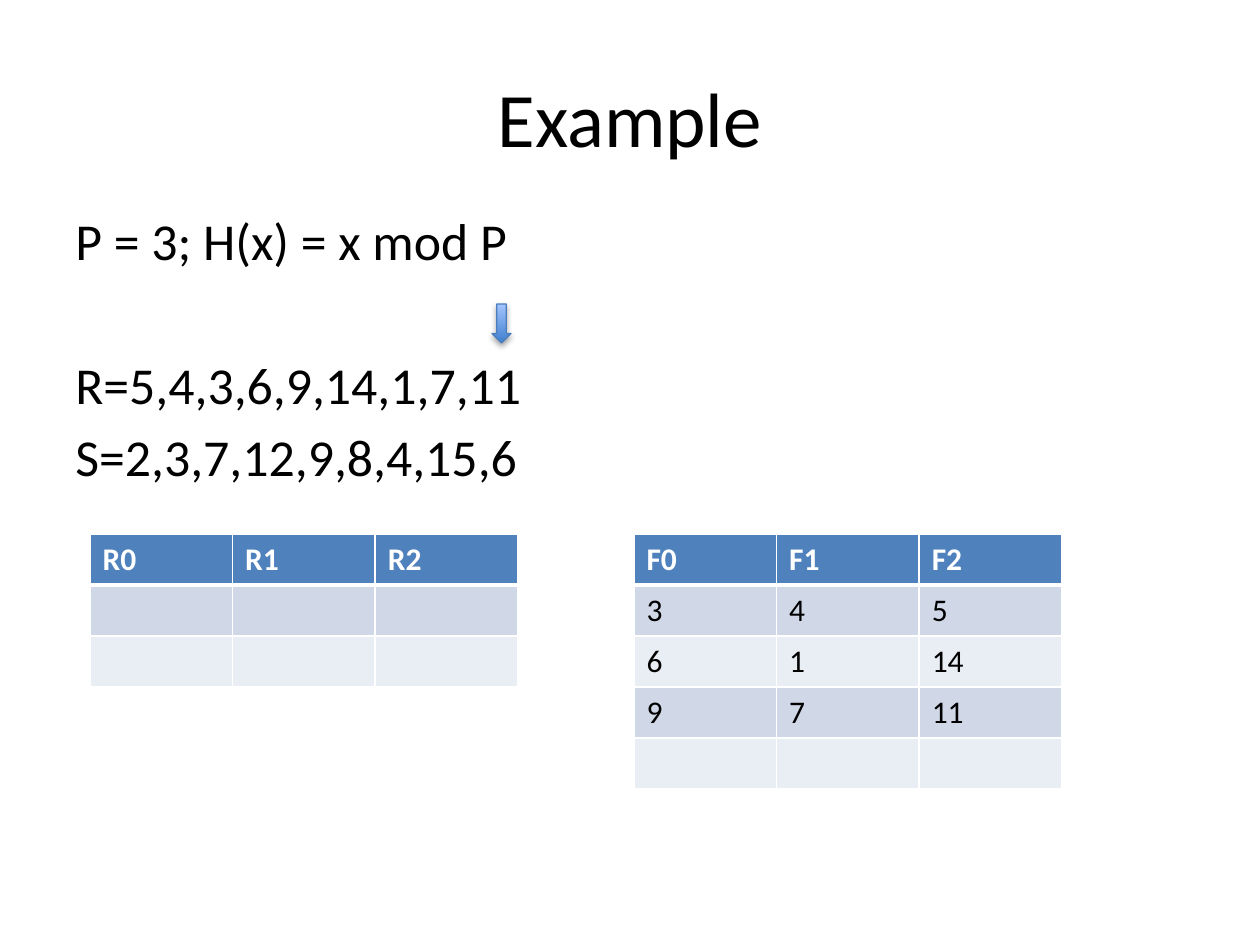
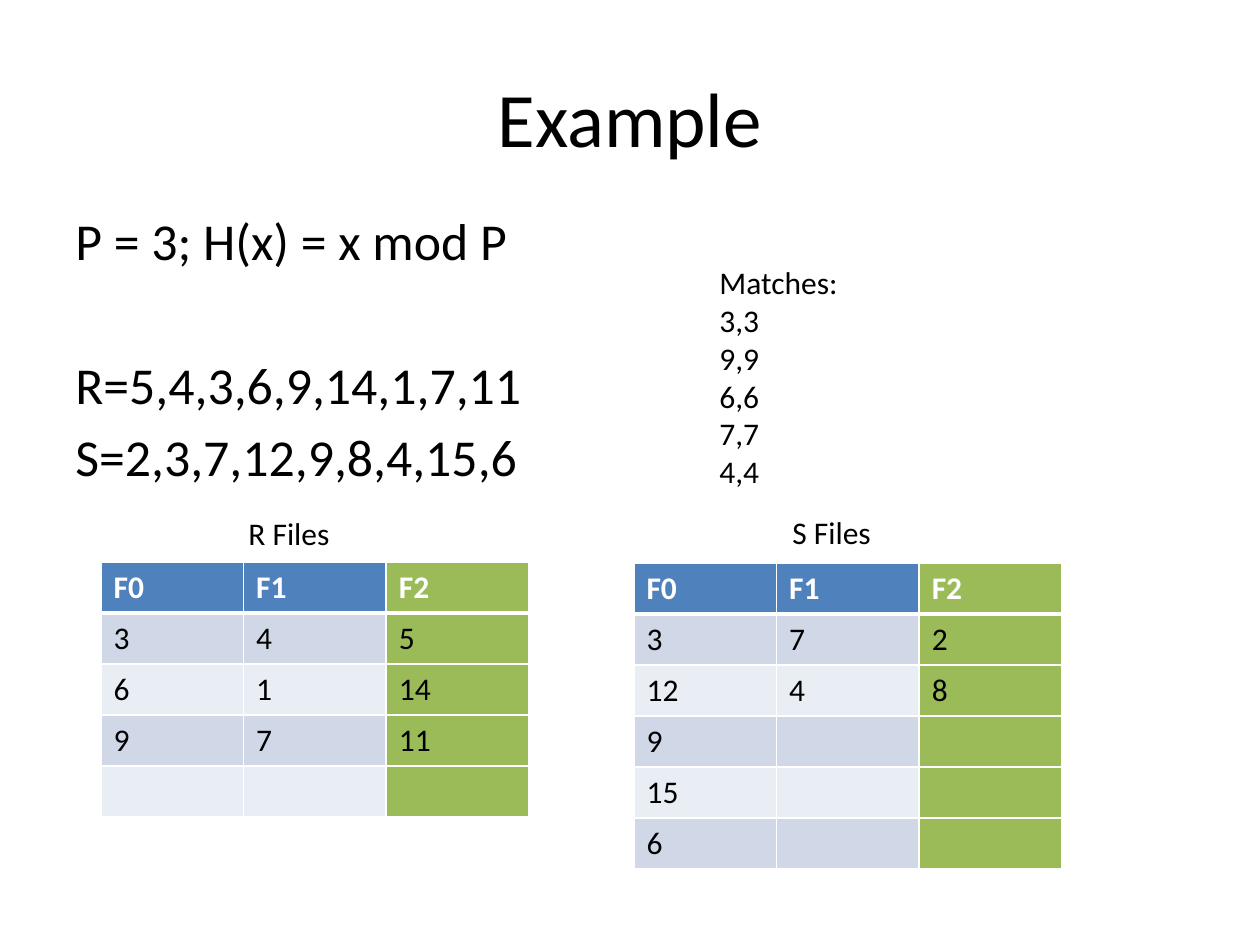
"""Builds two slides that work through a hash partitioning example."""
import pptx
import pptx.util
import pptx.dml.color
import pptx.enum.shapes
import pptx.enum.text
import pptx.oxml
import pptx.oxml.ns
import lxml.etree

SCALE = 914400 // 126
FONT = "Calibri"
COLORS = {
    "text": "000000",
    "white": "FFFFFF",
    "header": "4F81BD",
    "band_dark": "D0D8E8",
    "band_light": "E9EDF4",
    "done": "9BBB59",
    "arrow_dark": "3F80CE",
    "arrow_light": "A4C4FF",
    "arrow_line": "4B7EBC",
}
ALIGN = pptx.enum.text.PP_ALIGN
ANCHOR = pptx.enum.text.MSO_ANCHOR
FORMULAS = ["P = 3; H(x) = x mod P", "R=5,4,3,6,9,14,1,7,11", "S=2,3,7,12,9,8,4,15,6"]
FORMULA_SPACING = [0, 46.7, 5.3]
TABLE_WIDTH = 428
ROW_HEIGHT = 51
R_FILES = [["F0", "F1", "F2"], ["3", "4", "5"], ["6", "1", "14"],
           ["9", "7", "11"], ["", "", ""]]
S_FILES = [["F0", "F1", "F2"], ["3", "7", "2"], ["12", "4", "8"],
           ["9", "", ""], ["15", "", ""], ["6", "", ""]]


def px(*lengths):
    return [pptx.util.Emu(round(n * SCALE)) for n in lengths]


def rgb(name):
    return pptx.dml.color.RGBColor.from_string(COLORS[name])


class Deck:
    def __init__(self):
        self.prs = pptx.Presentation()
        self.prs.slide_width, self.prs.slide_height = px(1260, 945)
        self.s = None

    def slide(self):
        self.s = self.prs.slides.add_slide(self.prs.slide_layouts[6])
        self.text("Example", 63, 38, 1134, 157, size=44, align=ALIGN.CENTER,
                  anchor=ANCHOR.MIDDLE)
        tf = self.text("\n".join(FORMULAS), 63, 203, 1134, 278, size=29.6)
        for p, space in zip(tf.paragraphs, FORMULA_SPACING):
            p.space_before = pptx.util.Pt(space)

    def style(self, tf, size=18, color="text", bold=False, align=ALIGN.LEFT):
        for p in tf.paragraphs:
            p.alignment = align
            for r in p.runs:
                r.font.name = FONT
                r.font.size = pptx.util.Pt(size)
                r.font.bold = bold
                r.font.color.rgb = rgb(color)

    def text(self, text, x, y, w, h, size=18, align=ALIGN.LEFT, anchor=ANCHOR.TOP):
        tf = self.s.shapes.add_textbox(*px(x, y, w, h)).text_frame
        tf.word_wrap = True
        tf.vertical_anchor = anchor
        tf.text = text
        self.style(tf, size, align=align)
        return tf

    def border(self, cell, row):
        tcPr = cell._tc.get_or_add_tcPr()
        for edge in ("lnL", "lnR", "lnT", "lnB"):
            width = 3 if (row, edge) in ((0, "lnB"), (1, "lnT")) else 1
            tcPr.append(pptx.oxml.parse_xml(
                f'<a:{edge} {pptx.oxml.ns.nsdecls("a")} w="{pptx.util.Pt(width)}">'
                f'<a:solidFill><a:srgbClr val="{COLORS["white"]}"/></a:solidFill>'
                f'</a:{edge}>'))

    def table(self, rows, x, y, done_column=None):
        size = px(x, y, TABLE_WIDTH, ROW_HEIGHT * len(rows))
        table = self.s.shapes.add_table(len(rows), len(rows[0]), *size).table
        table.first_row = table.horz_banding = False
        for i, values in enumerate(rows):
            band = "header" if i == 0 else "band_dark" if i % 2 else "band_light"
            for j, value in enumerate(values):
                cell = table.cell(i, j)
                cell.text_frame.text = value
                self.style(cell.text_frame, color="text" if i else "white", bold=i == 0)
                self.border(cell, i)
                cell.fill.solid()
                cell.fill.fore_color.rgb = rgb("done" if j == done_column else band)

    def down_arrow(self, x, y, w, h):
        sp = self.s.shapes.add_shape(
            pptx.enum.shapes.MSO_SHAPE.DOWN_ARROW, *px(x, y, w, h))
        sp.fill.gradient()
        sp.fill.gradient_angle = 90
        for stop, color in zip(sp.fill.gradient_stops, ("arrow_dark", "arrow_light")):
            stop.color.rgb = rgb(color)
        stop.position = 1
        sp.line.color.rgb = rgb("arrow_line")
        sp.line.width = pptx.util.Pt(0.75)
        sp.shadow.inherit = False
        effects = sp._element.spPr.find(pptx.oxml.ns.qn("a:effectLst"))
        shadow = lxml.etree.SubElement(
            effects, pptx.oxml.ns.qn("a:outerShdw"), blurRad="40000", dist="23000",
            dir="5400000", rotWithShape="0")
        black = lxml.etree.SubElement(
            shadow, pptx.oxml.ns.qn("a:srgbClr"), val=COLORS["text"])
        lxml.etree.SubElement(black, pptx.oxml.ns.qn("a:alpha"), val="35000")


deck = Deck()

deck.slide()
deck.table([["R0", "R1", "R2"], ["", "", ""], ["", "", ""]], 90, 534)
deck.table(R_FILES, 634, 534)
deck.down_arrow(492, 304, 19, 39)

deck.slide()
deck.table(S_FILES, 634, 563, done_column=2)
deck.table(R_FILES, 101, 562, done_column=2)
deck.text("R Files", 236, 508, 307, 50)
deck.text("S Files", 780, 507, 307, 50)
deck.text("Matches:\n3,3\n9,9\n6,6\n7,7\n4,4", 707, 257, 437, 242)

deck.prs.save("out.pptx")
